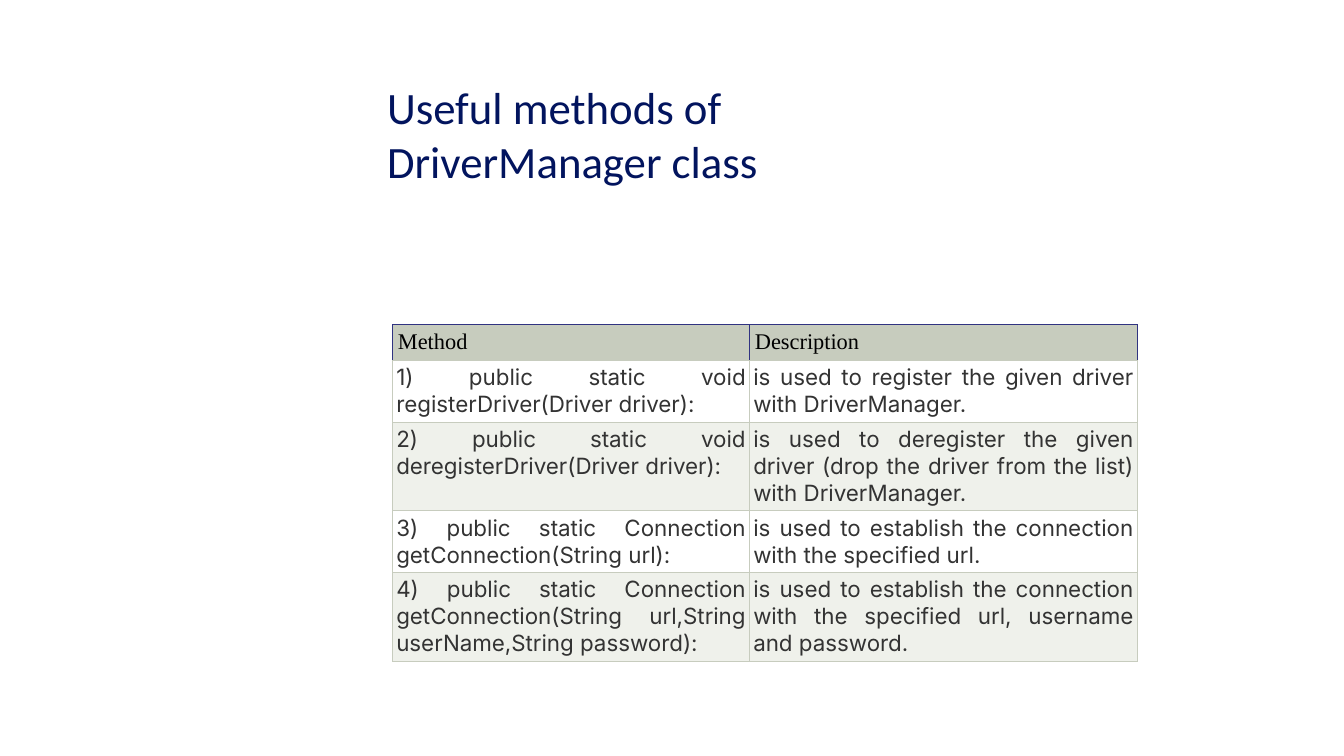
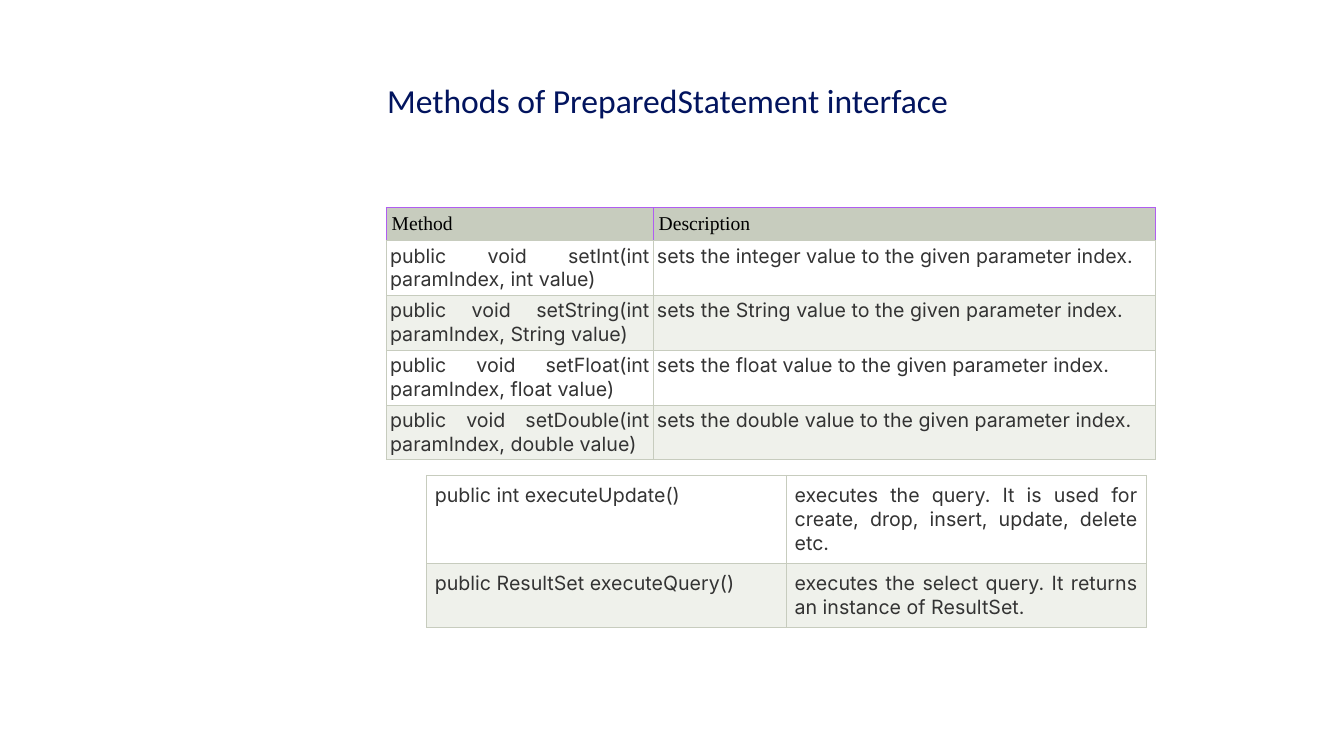
import pptx
import pptx.util
import pptx.dml.color
import pptx.enum.text
import pptx.oxml.ns
from lxml import etree
from pptx.util import Pt
from pptx.dml.color import RGBColor

NAVY = RGBColor(0x02, 0x14, 0x5E)
BLACK = RGBColor(0x00, 0x00, 0x00)
CHARCOAL = RGBColor(0x33, 0x33, 0x33)
WHITE = RGBColor(0xFF, 0xFF, 0xFF)
PALE_SAGE = RGBColor(0xEF, 0xF1, 0xEB)
SAGE = RGBColor(0xC7, 0xCC, 0xBE)
INDIGO = RGBColor(0x30, 0x33, 0x81)
VIOLET = RGBColor(0xB0, 0x5D, 0xF1)

TITLE_FONT = "Calibri"
HEADER_FONT = "Times New Roman"
BODY_FONT = "Inter"

HEADER = ("Method", "Description")
HEADER_MARGIN = 3.8
BODY_MARGIN = 2.6
BORDER_WIDTH = 0.75

DRIVER_METHODS = [
    ("1) public static void registerDriver(Driver driver):",
     "is used to register the given driver with DriverManager."),
    ("2) public static void deregisterDriver(Driver driver):",
     "is used to deregister the given driver (drop the driver from the list) with DriverManager."),
    ("3) public static Connection getConnection(String url):",
     "is used to establish the connection with the specified url."),
    ("4) public static Connection getConnection(String url,String userName,String password):",
     "is used to establish the connection with the specified url, username and password."),
]
SETTER_METHODS = [
    (f"public void set{kind.capitalize()}(int paramIndex, {kind} value)",
     f"sets the {name} value to the given parameter index.")
    for kind, name in (("int", "integer"), ("String", "String"),
                       ("float", "float"), ("double", "double"))
]
EXECUTE_METHODS = [
    ("public int executeUpdate()",
     "executes the query. It is used for create, drop, insert, update, delete etc."),
    ("public ResultSet executeQuery()",
     "executes the select query. It returns an instance of ResultSet."),
]


def add_titled_page(deck, title, size):
    page = deck.slides.add_slide(deck.slide_layouts[5])
    box = page.shapes.title
    box.left, box.top, box.width, box.height = Pt(276.5), Pt(57), Pt(408), Pt(71)
    frame = box.text_frame
    frame.text = title
    frame.word_wrap = True
    frame.auto_size = pptx.enum.text.MSO_AUTO_SIZE.NONE
    frame.vertical_anchor = pptx.enum.text.MSO_ANCHOR.TOP
    frame.margin_left = frame.margin_top = frame.margin_right = frame.margin_bottom = 0
    para = frame.paragraphs[0]
    para.alignment = pptx.enum.text.PP_ALIGN.LEFT
    set_font(para, TITLE_FONT, size, NAVY)
    return page


def set_font(para, name, size, color):
    para.font.name = name
    para.font.size = Pt(size)
    para.font.color.rgb = color


def set_borders(cell, edge_color):
    """Draw left, right and top in edge_color; the bottom is always sage."""
    properties = cell._tc.get_or_add_tcPr()
    sides = (("L", edge_color), ("R", edge_color), ("T", edge_color), ("B", SAGE))
    for position, (side, color) in enumerate(sides):
        line = etree.Element(pptx.oxml.ns.qn(f"a:ln{side}"), w=str(Pt(BORDER_WIDTH)))
        fill = etree.SubElement(line, pptx.oxml.ns.qn("a:solidFill"))
        etree.SubElement(fill, pptx.oxml.ns.qn("a:srgbClr"), val=str(color))
        properties.insert(position, line)


def fill_cell(cell, text, fill, margin, edge_color):
    cell.text = text
    cell.margin_left = cell.margin_top = cell.margin_right = cell.margin_bottom = Pt(margin)
    cell.fill.solid()
    cell.fill.fore_color.rgb = fill
    set_borders(cell, edge_color)
    return cell.text_frame.paragraphs[0]


def add_method_table(page, left, top, widths, heights, rows, size,
                     header_edge=None, margin=BODY_MARGIN):
    """Add a banded table; it has a header row when header_edge is given."""
    table = page.shapes.add_table(len(heights), len(widths), Pt(left), Pt(top),
                                  Pt(sum(widths)), Pt(sum(heights))).table
    for column, width in zip(table.columns, widths):
        column.width = Pt(width)
    for row, height in zip(table.rows, heights):
        row.height = Pt(height)
    table.first_row = header_edge is not None
    table.horz_banding = False

    first = 0
    if header_edge is not None:
        first = 1
        for column, text in enumerate(HEADER):
            para = fill_cell(table.cell(0, column), text, SAGE, HEADER_MARGIN, header_edge)
            set_font(para, HEADER_FONT, size, BLACK)
            para.font.bold = False
    for index, texts in enumerate(rows):
        fill = PALE_SAGE if index % 2 else WHITE
        for column, text in enumerate(texts):
            para = fill_cell(table.cell(first + index, column), text, fill, margin, SAGE)
            para.alignment = pptx.enum.text.PP_ALIGN.JUSTIFY
            set_font(para, BODY_FONT, size, CHARCOAL)


def main():
    deck = pptx.Presentation()
    deck.slide_width, deck.slide_height = Pt(960), Pt(540)

    page = add_titled_page(deck, "Useful methods of DriverManager class", 32)
    add_method_table(page, 280.5, 231.8, (255, 277), (25.7, 44, 63.5, 44, 63.5),
                     DRIVER_METHODS, 16, header_edge=INDIGO)

    page = add_titled_page(deck, "Methods of PreparedStatement interface", 24)
    add_method_table(page, 276, 148.2, (190.7, 358.5), [23.6] + [39.2] * 4,
                     SETTER_METHODS, 14, header_edge=VIOLET)
    add_method_table(page, 304.6, 339.6, (257, 257), (62.8, 45.8),
                     EXECUTE_METHODS, 14, margin=6)

    deck.save("out.pptx")


if __name__ == "__main__":
    main()
